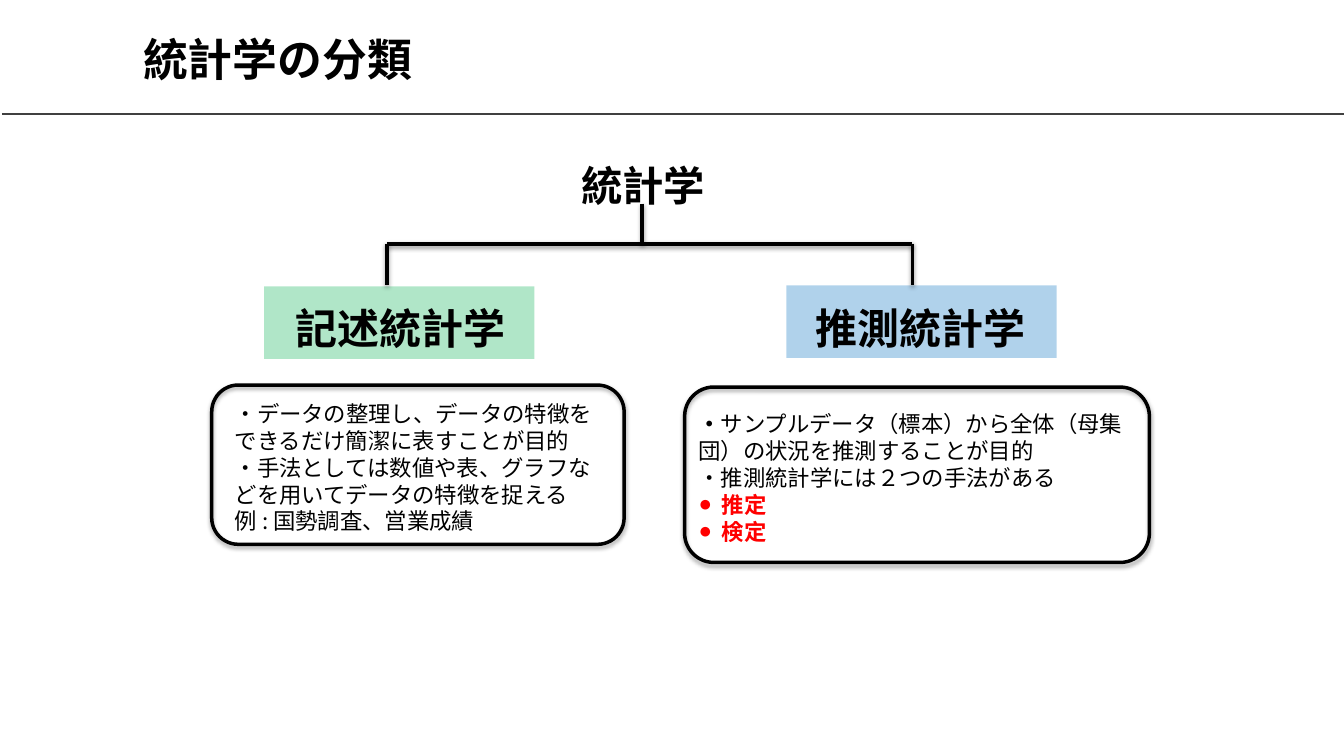
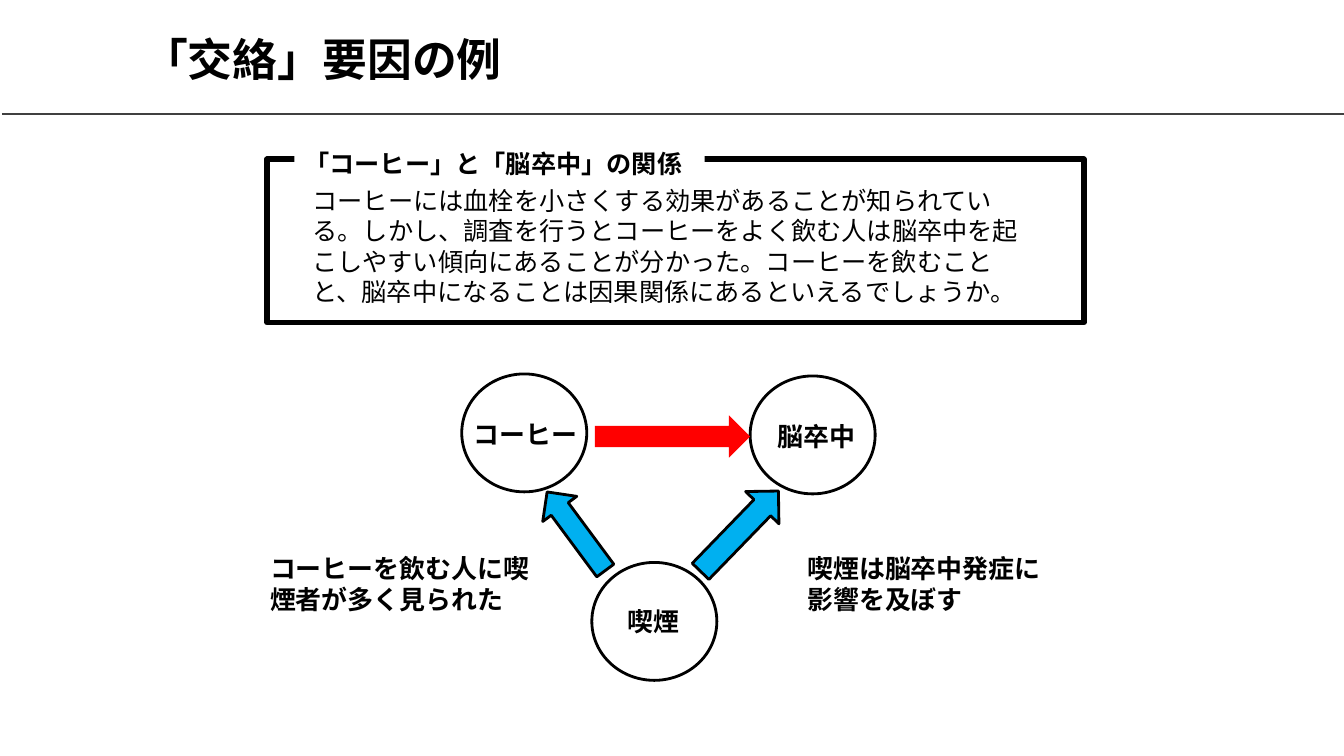
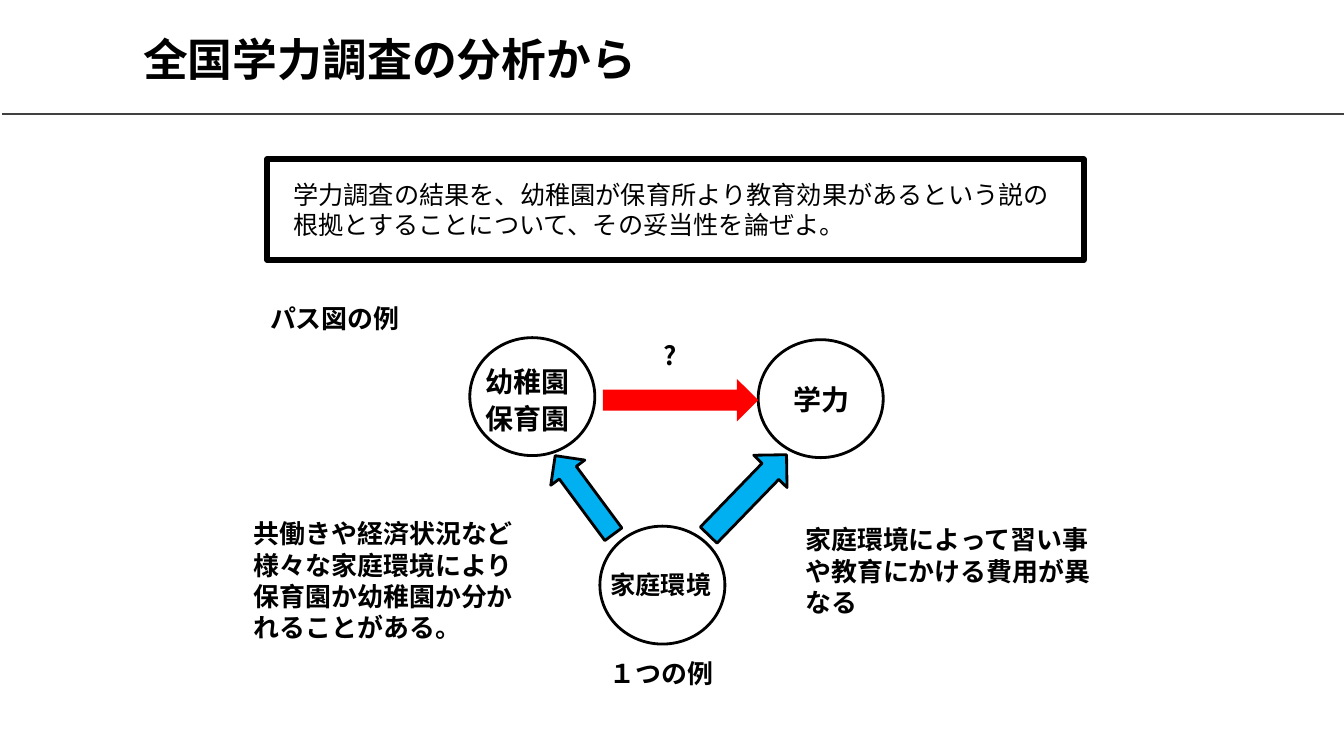
"""Build three slides on branches of statistics and confounding factors."""
from lxml import etree
from pptx import Presentation
from pptx.dml.color import RGBColor
from pptx.enum.shapes import MSO_CONNECTOR, MSO_SHAPE as SHAPE
from pptx.enum.text import MSO_ANCHOR as ANCHOR, MSO_AUTO_SIZE, PP_ALIGN as ALIGN
from pptx.oxml.ns import qn
from pptx.util import Pt

PX = 9144
FONT = "Noto Sans CJK JP"
COLORS = {
    "black": "000000",
    "white": "FFFFFF",
    "rule": "404040",
    "red": "FF0000",
    "green": "00B050",
    "blue": "0070C0",
    "sky": "00B0F0",
}


def rgb(name):
    return RGBColor.from_string(COLORS[name])


def px(*lengths):
    return [n * PX for n in lengths]


def add_run(p, text, size=18.5, bold=True, color="black"):
    r = p.add_run()
    r.text = text
    r.font.size, r.font.bold, r.font.name = Pt(size), bold, FONT
    r.font.color.rgb = rgb(color)
    etree.SubElement(r._r.get_or_add_rPr(), qn("a:ea"), typeface=FONT)


def add_bullet(p, char, indent=23):
    pPr = p._p.get_or_add_pPr()
    pPr.set("marL", str(indent * PX))
    pPr.set("indent", str(-indent * PX))
    etree.SubElement(pPr, qn("a:buFont"), typeface="Arial")
    etree.SubElement(pPr, qn("a:buChar"), char=char)


def write(tf, text, align=ALIGN.LEFT, spacing=None, bullet=None, lead="", **font):
    p = tf.paragraphs[0]
    if p.runs:
        p = tf.add_paragraph()
    p.alignment = align
    p._p.get_or_add_pPr().set("hangingPunct", "0")
    if spacing:
        p.line_spacing = spacing
    if bullet:
        add_bullet(p, bullet)
    if lead:
        add_run(p, lead, **{**font, "bold": True})
    add_run(p, text, **font)


def add_text(slide, box, text, wrap=True, anchor=ANCHOR.TOP, **fmt):
    tf = slide.shapes.add_textbox(*px(*box)).text_frame
    tf.word_wrap, tf.vertical_anchor = wrap, anchor
    write(tf, text, **fmt)
    return tf


def add_label(slide, box, text, **fmt):
    return add_text(slide, box, text, wrap=False, align=ALIGN.CENTER, **fmt)


def set_shadow(sp, dist=0, alpha=0):
    effects = etree.SubElement(sp._element.spPr, qn("a:effectLst"))
    if alpha:
        shadow = etree.SubElement(effects, qn("a:outerShdw"), blurRad="40000",
                                  dist=str(dist), dir="5400000", rotWithShape="0")
        color = etree.SubElement(shadow, qn("a:srgbClr"), val=COLORS["black"])
        etree.SubElement(color, qn("a:alpha"), val=str(alpha * 1000))


def add_shape(slide, kind, box, fill=None, opacity=100, line=0, rotation=0, shadow=False):
    sp = slide.shapes.add_shape(kind, *px(*box))
    sp.rotation = rotation
    if fill:
        sp.fill.solid()
        sp.fill.fore_color.rgb = rgb(fill)
        if opacity < 100:
            color = sp.fill._xPr.find(qn("a:solidFill"))[0]
            etree.SubElement(color, qn("a:alpha"), val=str(opacity * 1000))
    else:
        sp.fill.background()
    if line:
        sp.line.color.rgb, sp.line.width = rgb("black"), Pt(line)
    else:
        sp.line.fill.background()
    set_shadow(sp, *((23000, 35) if shadow else ()))
    return sp


def add_line(slide, ends, color="black", width=2.5, shadow=True):
    line = slide.shapes.add_connector(MSO_CONNECTOR.STRAIGHT, *px(*ends))
    line.line.color.rgb, line.line.width = rgb(color), Pt(width)
    set_shadow(line, *((20000, 38) if shadow else ()))


def add_slide(prs, title):
    slide = prs.slides.add_slide(prs.slide_layouts[5])
    add_line(slide, (2, 113, 1336, 113), "rule", 1.5, shadow=False)
    sp = slide.shapes.title
    sp.left, sp.top, sp.width, sp.height = px(132, 16, 1156, 84)
    tf = sp.text_frame
    tf.auto_size, tf.vertical_anchor = MSO_AUTO_SIZE.NONE, ANCHOR.MIDDLE
    write(tf, title, size=32)
    return slide


def add_path_diagram(slide, dx=0, dy=0):
    def place(kind, x, y, w, h, **style):
        add_shape(slide, kind, (x + dx, y + dy, w, h), **style)

    for x, y in ((458, 371), (744, 373), (587, 558)):
        place(SHAPE.OVAL, x, y, 124, 117, line=2)
    place(SHAPE.RIGHT_ARROW, 678, 504, 111, 46, fill="sky", line=2, rotation=314.1)
    place(SHAPE.RIGHT_ARROW, 523, 506, 97, 42, fill="sky", line=2, rotation=233.5)
    place(SHAPE.RIGHT_ARROW, 590, 412, 154, 42, fill="red")


def build_branches(prs):
    slide = add_slide(prs, "統計学の分類")
    add_text(slide, (207, 105, 862, 109), "統計学", anchor=ANCHOR.BOTTOM,
             align=ALIGN.CENTER, spacing=0.9, size=29.5)
    branches = (("記述統計学", "green", 262, 284, 280, 234),
                ("推測統計学", "blue", 780, 283, 793, 240))
    for name, color, x, y, text_x, text_w in branches:
        add_shape(slide, SHAPE.RECTANGLE, (x, y, 268, 72), color, opacity=31)
        add_label(slide, (text_x, 295, text_w, 61), name, size=30)
    left, right, stem, bar, foot = 384, 905, 637, 242, 283
    for ends in ((left, bar, right, bar), (right, bar, right, foot),
                 (left, bar, left, foot), (stem, 202, stem, bar)):
        add_line(slide, ends)

    body = {"size": 16, "bold": False}
    tf = add_text(slide, (223, 392, 383, 194),
                  "・データの整理し、データの特徴をできるだけ簡潔に表すことが目的", **body)
    write(tf, "・手法としては数値や表、グラフなどを用いてデータの特徴を捉える", **body)
    write(tf, "例 : 国勢調査、営業成績", **body)
    tf = add_text(slide, (683, 402, 461, 178),
                  "サンプルデータ（標本）から全体（母集団）の状況を推測することが目的",
                  lead="・", **body)
    write(tf, "・推測統計学には２つの手法がある", **body)
    for method in ("推定", "検定"):
        write(tf, method, bullet="●", size=16, color="red")
    for box in ((210, 382, 409, 158), (679, 384, 461, 174)):
        add_shape(slide, SHAPE.ROUNDED_RECTANGLE, box, line=2.5, shadow=True)


def build_confounding(prs):
    slide = add_slide(prs, "「交絡」要因の例")
    add_shape(slide, SHAPE.RECTANGLE, (265, 158, 810, 162), line=4)
    heading = add_shape(slide, SHAPE.RECTANGLE, (292, 142, 407, 40), "white")
    heading.text_frame.word_wrap = False
    write(heading.text_frame, "「コーヒー」と「脳卒中」の関係", size=18)
    add_text(slide, (300, 179, 742, 131),
             "コーヒーには血栓を小さくする効果があることが知られている。"
             "しかし、調査を行うとコーヒーをよく飲む人は脳卒中を起こしやすい傾向にあることが分かった。"
             "コーヒーを飲むことと、脳卒中になることは因果関係にあるといえるでしょうか。",
             size=18, bold=False)
    add_path_diagram(slide)
    add_label(slide, (459, 410, 124, 41), "コーヒー")
    add_label(slide, (748, 412, 124, 41), "脳卒中")
    add_label(slide, (612, 596, 72, 41), "喫煙")
    add_text(slide, (258, 543, 293, 72), "コーヒーを飲む人に喫煙者が多く見られた")
    add_text(slide, (791, 543, 256, 72), "喫煙は脳卒中発症に影響を及ぼす")


def build_survey(prs):
    slide = add_slide(prs, "全国学力調査の分析から")
    add_shape(slide, SHAPE.RECTANGLE, (265, 158, 810, 100), line=4)
    add_text(slide, (281, 173, 793, 71),
             "学力調査の結果を、幼稚園が保育所より教育効果があるという説の"
             "根拠とすることについて、その妥当性を論ぜよ。", size=18, bold=False)
    add_path_diagram(slide, 8, -36)
    add_label(slide, (471, 357, 104, 44), "幼稚園", size=20)
    add_label(slide, (471, 393, 104, 44), "保育園", size=20)
    add_label(slide, (741, 375, 148, 44), "学力", size=20)
    add_label(slide, (647, 332, 35, 41), "?")
    add_label(slide, (595, 560, 121, 40), "家庭環境", size=18)
    add_text(slide, (242, 509, 292, 134),
             "共働きや経済状況など様々な家庭環境により保育園か幼稚園か分かれることがある。")
    add_text(slide, (789, 515, 318, 103),
             "家庭環境によって習い事や教育にかける費用が異なる")
    add_text(slide, (595, 647, 131, 41), "１つの例")
    add_text(slide, (258, 295, 164, 41), "パス図の例")


def main():
    prs = Presentation()
    prs.slide_width, prs.slide_height = px(1333, 750)
    build_branches(prs)
    build_confounding(prs)
    build_survey(prs)
    prs.save("out.pptx")


if __name__ == "__main__":
    main()
